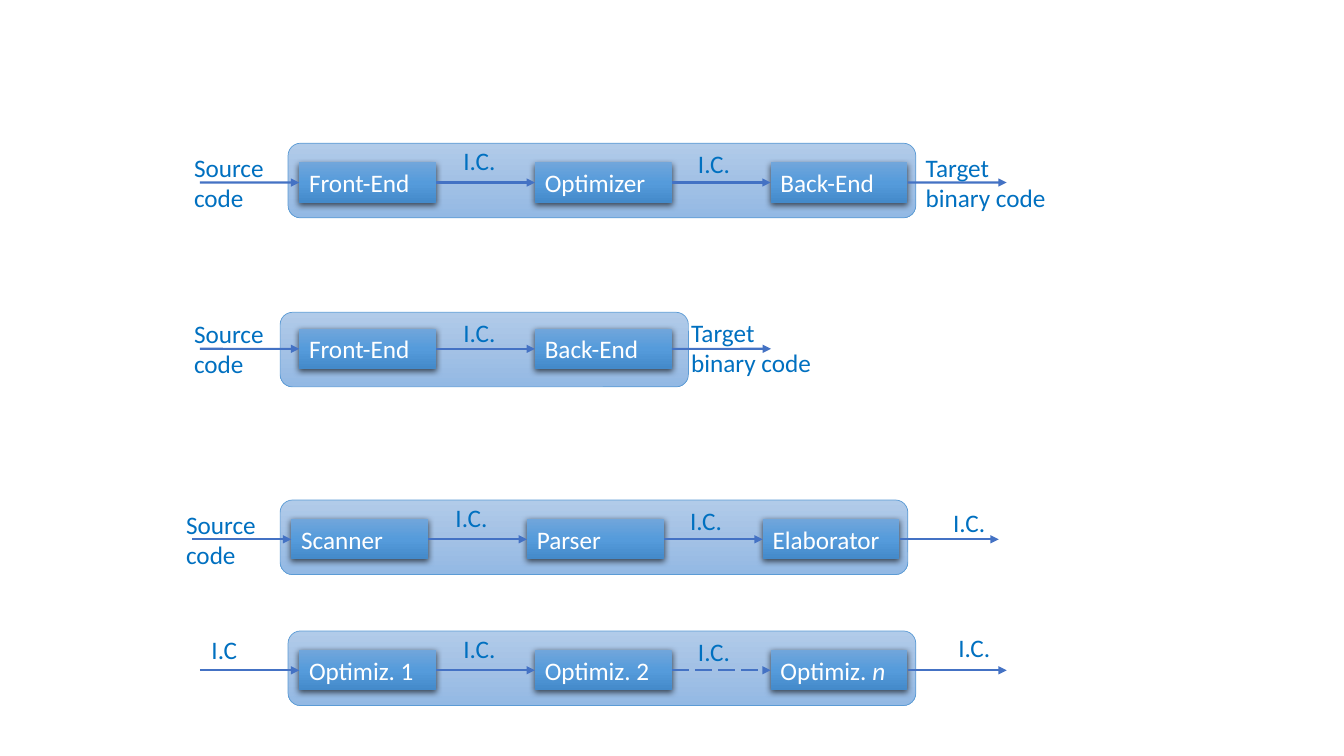
from copy import deepcopy
from dataclasses import dataclass

from lxml import etree
from pptx import Presentation
from pptx import util as u
from pptx.dml.color import RGBColor
from pptx.enum import dml, shapes, text
from pptx.oxml import ns


@dataclass(frozen=True)
class Theme:
    font: str = "Calibri"
    size: int = 18
    stage_text: str = "FFFFFF"
    label_text: str = "0070C0"
    arrow: str = "4472C4"
    panel_line: str = "5B9BD5"
    panel_fill: tuple = ("B1CBE9", "A3C1E5", "93B9E4")
    stage_fill: tuple = ("71A6DB", "559BDB", "448ACA")
    shadow: str = "000000"


theme = Theme()


def fill_gradient(shape, colours):
    """Fill a shape from top to bottom with three evenly spaced colours."""
    shape.fill.gradient()
    stop_list = shape._element.spPr.find(".//" + ns.qn("a:gsLst"))
    stop_list.insert(1, deepcopy(stop_list[0]))
    shape.fill.gradient_angle = 270
    for i, (stop, colour) in enumerate(zip(shape.fill.gradient_stops, colours)):
        stop.position = i / 2
        stop.color.rgb = RGBColor.from_string(colour)


def write(shape, wording, colour):
    """Write left-aligned text; what follows an asterisk is italic."""
    plain, _, italic = wording.partition("*")
    frame = shape.text_frame
    frame.word_wrap = True
    frame.auto_size = text.MSO_AUTO_SIZE.SHAPE_TO_FIT_TEXT
    frame.text = plain
    if italic:
        tail = frame.paragraphs[0].add_run()
        tail.text = italic
        tail.font.italic = True
    for paragraph in frame.paragraphs:
        paragraph.alignment = text.PP_ALIGN.LEFT
        for run in paragraph.runs:
            run.font.name = theme.font
            run.font.size = u.Pt(theme.size)
            run.font.color.rgb = RGBColor.from_string(colour)


# Shared measures in centimetres
STAGE_W, STAGE_H, PITCH = 3.45, 1.02, 5.94
PANEL_H, ARROW_LENGTH = 1.88, 2.5
SOURCE = ("Source code", -2.9, -0.38, 2.62)
FIRST_IC = ("I.C.", 3.89, -0.55, 1.68)
SECOND_IC = ("I.C.", 9.8, -0.48, 1.68)
TARGET = "Target\nbinary code"

# Each pipeline: left and top of its first stage, panel (left and top offset,
# width), stages, labels (wording, offsets from the first stage, width),
# and whether the last link is dashed
pipelines = [
    (7.54, 4.09, (-0.28, -0.48, 15.82), ["Front-End", "Optimizer", "Back-End"],
     [SOURCE, FIRST_IC, SECOND_IC, (TARGET, 15.54, -0.38, 4.24)], False),
    (7.54, 8.28, (-0.48, -0.41, 10.29), ["Front-End", "Back-End"],
     [SOURCE, ("I.C.", 3.89, -0.41, 1.68), (TARGET, 9.63, -0.41, 4.24)], False),
    (7.34, 13.08, (-0.28, -0.48, 15.82), ["Scanner", "Parser", "Elaborator"],
     [SOURCE, FIRST_IC, SECOND_IC, ("I.C.", 16.43, -0.41, 3.35)], False),
    (7.54, 16.38, (-0.28, -0.48, 15.82), ["Optimiz. 1", "Optimiz. 2", "Optimiz. *n"],
     [("I.C", -2.46, -0.53, 2.62), FIRST_IC, SECOND_IC,
      ("I.C.", 16.36, -0.56, 3.35)], True),
]

presentation = Presentation()
presentation.slide_width = u.Cm(33.87)
presentation.slide_height = u.Cm(19.05)
slide = presentation.slides.add_slide(presentation.slide_layouts[6])

for left, top, (panel_dx, panel_dy, panel_w), stages, labels, dashed in pipelines:
    # Panel behind the stages
    panel = slide.shapes.add_shape(
        shapes.MSO_SHAPE.ROUNDED_RECTANGLE, u.Cm(left + panel_dx),
        u.Cm(top + panel_dy), u.Cm(panel_w), u.Cm(PANEL_H))
    panel.shadow.inherit = False
    fill_gradient(panel, theme.panel_fill)
    panel.line.color.rgb = RGBColor.from_string(theme.panel_line)
    panel.line.width = u.Pt(0.5)

    # Stages with a soft shadow below
    boxes = []
    for i, name in enumerate(stages):
        box = slide.shapes.add_shape(
            shapes.MSO_SHAPE.RECTANGLE, u.Cm(left + i * PITCH), u.Cm(top),
            u.Cm(STAGE_W), u.Cm(STAGE_H))
        box.shadow.inherit = False
        fill_gradient(box, theme.stage_fill)
        box.line.fill.background()
        effects = box._element.spPr.find(ns.qn("a:effectLst"))
        shadow = etree.SubElement(
            effects, ns.qn("a:outerShdw"), blurRad=str(u.Pt(4.5)),
            dist=str(u.Pt(1.5)), dir="5400000", algn="ctr", rotWithShape="0")
        tint = etree.SubElement(shadow, ns.qn("a:srgbClr"), val=theme.shadow)
        etree.SubElement(tint, ns.qn("a:alpha"), val="63000")
        write(box, name, theme.stage_text)
        boxes.append(box)

    # Arrows into, between and out of the stages
    middle = u.Cm(top + STAGE_H / 2)
    for i, (before, after) in enumerate(zip([None] + boxes, boxes + [None])):
        end = left + i * PITCH
        start = end - PITCH + STAGE_W
        if before is None:
            start = left - ARROW_LENGTH
        if after is None:
            end = start + ARROW_LENGTH
        arrow = slide.shapes.add_connector(
            shapes.MSO_CONNECTOR.STRAIGHT, u.Cm(start), middle, u.Cm(end), middle)
        if before is not None:
            arrow.begin_connect(before, 3)
        if after is not None:
            arrow.end_connect(after, 1)
        arrow.line.color.rgb = RGBColor.from_string(theme.arrow)
        arrow.line.width = u.Pt(1.5)
        if dashed and i == len(boxes) - 1:
            arrow.line.dash_style = dml.MSO_LINE.LONG_DASH
        etree.SubElement(arrow.line._get_or_add_ln(), ns.qn("a:tailEnd"), type="triangle")
        etree.SubElement(arrow._element.spPr, ns.qn("a:effectLst"))

    # Labels on the arrows
    for wording, dx, dy, width in labels:
        height = 1.8 if wording in (SOURCE[0], TARGET) else STAGE_H
        label = slide.shapes.add_textbox(
            u.Cm(left + dx), u.Cm(top + dy), u.Cm(width), u.Cm(height))
        write(label, wording, theme.label_text)

presentation.save("out.pptx")
